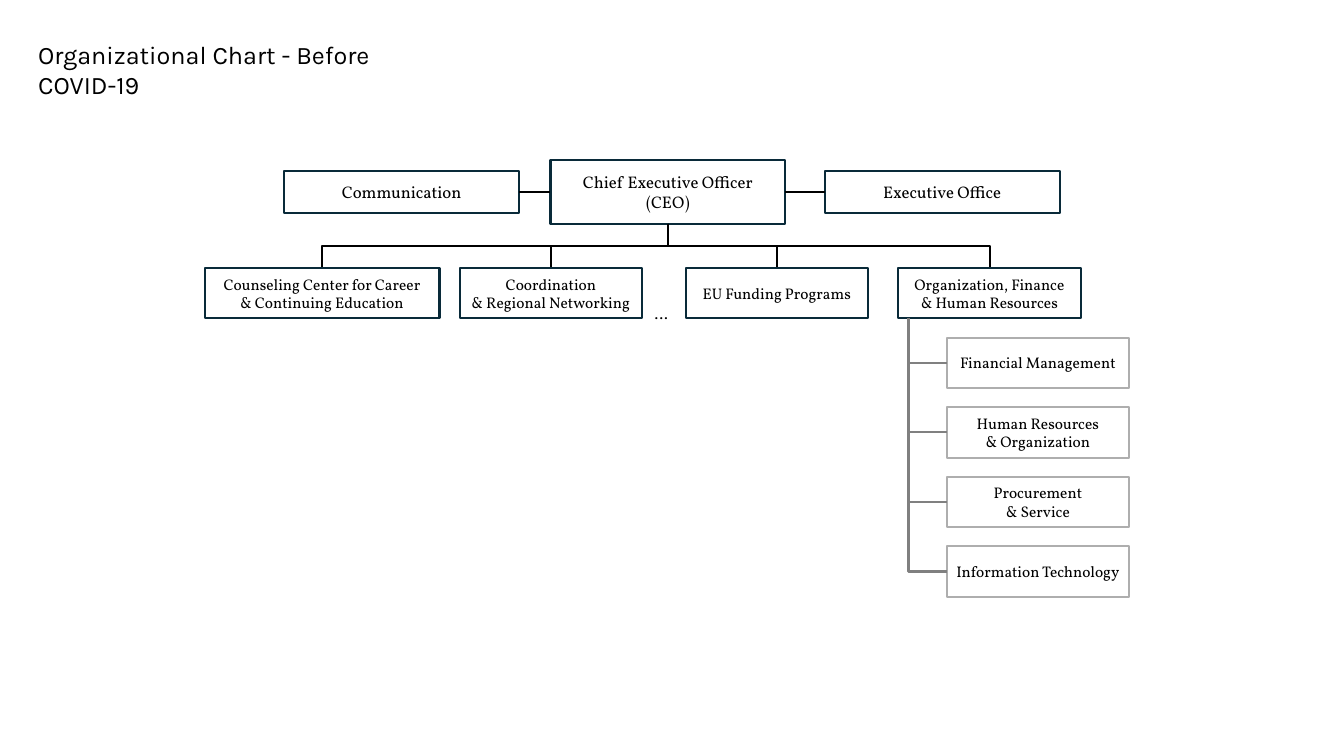
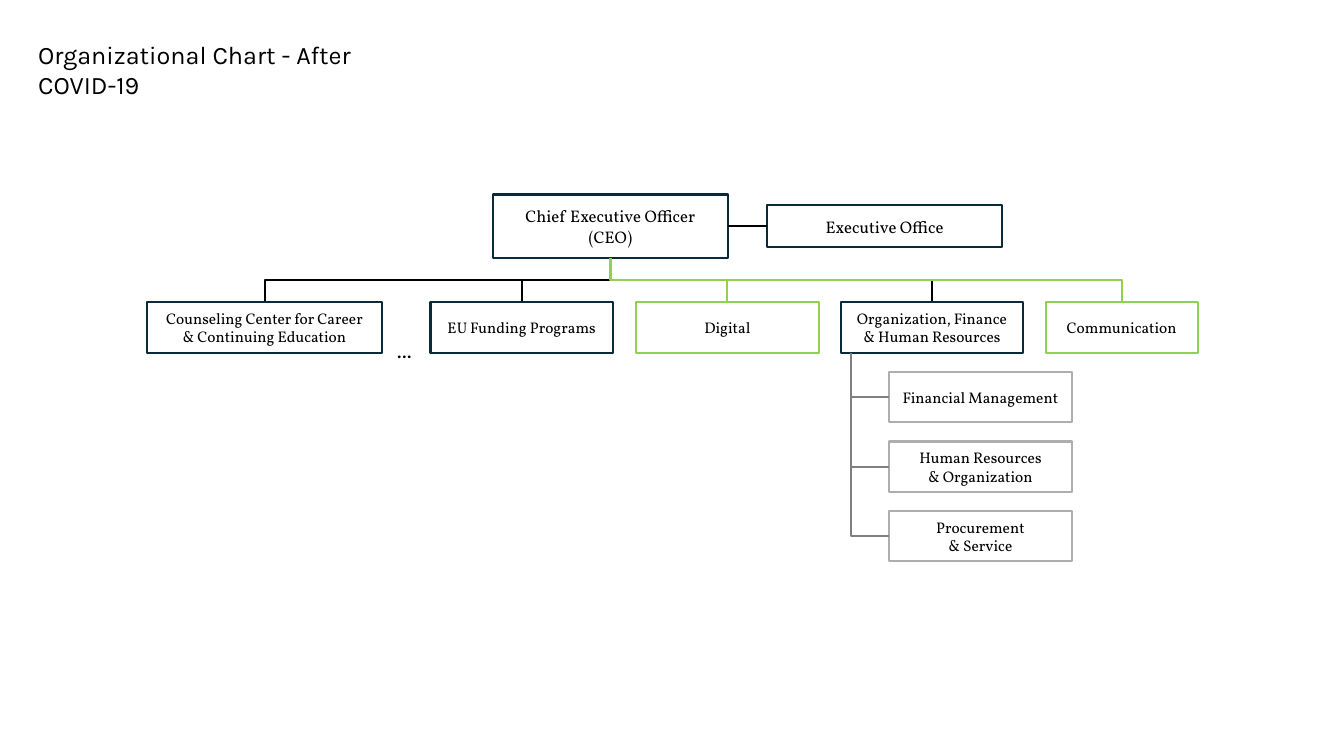
from dataclasses import dataclass
from typing import NamedTuple

from pptx import Presentation
from pptx.dml.color import RGBColor as RGB
from pptx.enum.shapes import MSO_CONNECTOR as CONN, MSO_SHAPE as SHAPE
from pptx.enum.text import MSO_ANCHOR as ANCHOR, PP_ALIGN as ALIGN
from pptx.oxml.ns import qn
from pptx.oxml.xmlchemy import OxmlElement
from pptx.util import Inches, Pt


@dataclass(frozen=True)
class Theme:
    ink: str = "000000"
    navy: str = "092A39"
    green: str = "92D050"
    unit_border: str = "AEAEAE"
    unit_link: str = "808080"
    title_font: str = "Karla"
    body_font: str = "Vollkorn"
    title_size: float = 18
    lead_size: float = 12
    body_size: float = 11
    line_width: float = 1.5


T = Theme()


class Box(NamedTuple):
    x: float
    y: float
    w: float
    h: float

    @property
    def cx(self):
        return self.x + self.w / 2

    @property
    def cy(self):
        return self.y + self.h / 2

    @property
    def right(self):
        return self.x + self.w

    @property
    def bottom(self):
        return self.y + self.h

    def inches(self):
        return [Inches(v) for v in self]


# Sizes shared by both charts
CEO_W, CEO_H = 2.33, 0.63
SIDE_H = 0.42
DEPT_DROP, DEPT_H = 1.07, 0.5
WIDE, MEDIUM, NARROW = 2.33, 1.81, 1.51
UNIT_INDENT, UNIT_STEP, STEM_INDENT = 0.48, 0.69, 0.1

# Wording used on both slides
COUNSELING = "Counseling Center for Career\n& Continuing Education"
EU_FUNDING = "EU Funding Programs"
ORGANIZATION = "Organization, Finance\n& Human Resources"
UNITS = ["Financial Management", "Human Resources\n& Organization",
         "Procurement\n& Service"]

# Positions are relative to the CEO box.
# sides: text, x / departments: text, x, width, is new
CHARTS = [
    {
        "title": "Organizational Chart - Before COVID-19",
        "origin": (5.46, 1.59),
        "sides": [("Communication", -2.64), ("Executive Office", 2.72)],
        "departments": [
            (COUNSELING, -3.43, WIDE, False),
            ("Coordination\n& Regional Networking", -0.9, MEDIUM, False),
            (EU_FUNDING, 1.34, MEDIUM, False),
            (ORGANIZATION, 3.45, MEDIUM, False),
        ],
        "units": UNITS + ["Information Technology"],
        "ellipsis": {"after": 1, "drop": 0.31, "bold": False},
    },
    {
        "title": "Organizational Chart - After COVID-19",
        "origin": (4.89, 1.93),
        "sides": [("Executive Office", 2.72)],
        "departments": [
            (COUNSELING, -3.43, WIDE, False),
            (EU_FUNDING, -0.62, MEDIUM, False),
            ("Digital", 1.42, MEDIUM, True),
            (ORGANIZATION, 3.45, MEDIUM, False),
            ("Communication", 5.48, NARROW, True),
        ],
        "units": UNITS,
        "ellipsis": {"after": 0, "drop": 0.35, "bold": True},
    },
]


def write(tf, text, font, size, align=ALIGN.LEFT, bold=False):
    tf.word_wrap = True
    for i, line in enumerate(text.split("\n")):
        p = tf.paragraphs[0] if i == 0 else tf.add_paragraph()
        p.alignment = align
        r = p.add_run()
        r.text = line
        for name, value in {"name": font, "size": Pt(size), "bold": bold}.items():
            setattr(r.font, name, value)
        r.font.color.rgb = RGB.from_string(T.ink)


def add_text(s, box, text, font, size, bold=False):
    write(s.shapes.add_textbox(*box.inches()).text_frame, text, font, size, bold=bold)


def add_box(s, box, text, border, size=T.body_size):
    sp = s.shapes.add_shape(SHAPE.RECTANGLE, *box.inches())
    sp.shadow.inherit = False
    sp.fill.background()
    sp.line.color.rgb = RGB.from_string(border)
    sp.line.width = Pt(T.line_width)
    tf = sp.text_frame
    frame = {"vertical_anchor": ANCHOR.MIDDLE, "margin_left": 0, "margin_right": 0,
             "margin_top": 0, "margin_bottom": 0}
    for name, value in frame.items():
        setattr(tf, name, value)
    write(tf, text, T.body_font, size, ALIGN.CENTER)


def add_link(s, kind, start, end, color):
    c = s.shapes.add_connector(kind, *[Inches(v) for v in (*start, *end)])
    c.line.color.rgb = RGB.from_string(color)
    c.line.width = Pt(T.line_width)
    c.element.spPr.append(OxmlElement("a:effectLst"))
    return c


def add_elbow(s, start, end, color, preset="bentConnector3"):
    """Elbow that leaves its start downwards: a turned horizontal elbow."""
    (x1, y1), (x2, y2) = start, end
    cx, cy = (x1 + x2) / 2, (y1 + y2) / 2
    half_w, half_h = (y2 - y1) / 2, abs(x2 - x1) / 2
    to_right = x2 > x1
    if to_right:
        half_w = -half_w
    c = add_link(s, CONN.ELBOW, (cx - half_w, cy - half_h),
                 (cx + half_w, cy + half_h), color)
    spPr = c.element.spPr
    spPr.find(qn("a:xfrm")).set("rot", str((270 if to_right else 90) * 60000))
    spPr.find(qn("a:prstGeom")).set("prst", preset)


def add_top_row(s, ceo, sides):
    add_box(s, ceo, "Chief Executive Officer\n(CEO)", T.navy, T.lead_size)
    for text, dx in sides:
        side = Box(ceo.x + dx, ceo.cy - SIDE_H / 2, CEO_W, SIDE_H)
        add_box(s, side, text, T.navy, T.lead_size)
        left, right = sorted((ceo, side))
        add_link(s, CONN.STRAIGHT, (left.right, ceo.cy), (right.x, ceo.cy), T.ink)


def add_departments(s, ceo, departments):
    boxes = [Box(ceo.x + dx, ceo.y + DEPT_DROP, w, DEPT_H)
             for _, dx, w, _ in departments]
    rows = list(zip(boxes, departments))
    # Links to new departments lie on top
    for box, dept in sorted(rows, key=lambda row: row[1][3]):
        add_elbow(s, (ceo.cx, ceo.bottom), (box.cx, box.y),
                  T.green if dept[3] else T.ink)
    for box, (text, _, _, is_new) in rows:
        add_box(s, box, text, T.green if is_new else T.navy)
    return boxes


def add_units(s, parent, units):
    for i, text in enumerate(units, 1):
        unit = Box(parent.x + UNIT_INDENT, parent.y + i * UNIT_STEP, MEDIUM, DEPT_H)
        add_box(s, unit, text, T.unit_border)
        add_elbow(s, (parent.x + STEM_INDENT, parent.bottom), (unit.x, unit.cy),
                  T.unit_link, "bentConnector2")


def add_ellipsis(s, boxes, after, drop, bold):
    left, right = boxes[after:after + 2]
    w = 0.38
    box = Box((left.right + right.x - w) / 2, left.y + drop, w, 0.29)
    add_text(s, box, "…", T.body_font, T.body_size, bold)


def add_chart_slide(prs, chart):
    s = prs.slides.add_slide(prs.slide_layouts[6])
    add_text(s, Box(0.28, 0.34, 4.1, 0.7), chart["title"], T.title_font, T.title_size)
    ceo = Box(*chart["origin"], CEO_W, CEO_H)
    add_top_row(s, ceo, chart["sides"])
    boxes = add_departments(s, ceo, chart["departments"])
    names = [dept[0] for dept in chart["departments"]]
    add_units(s, boxes[names.index(ORGANIZATION)], chart["units"])
    add_ellipsis(s, boxes, **chart["ellipsis"])


def main():
    prs = Presentation()
    prs.slide_width, prs.slide_height = Inches(13.33), Inches(7.5)
    for chart in CHARTS:
        add_chart_slide(prs, chart)
    prs.save("out.pptx")


if __name__ == "__main__":
    main()
